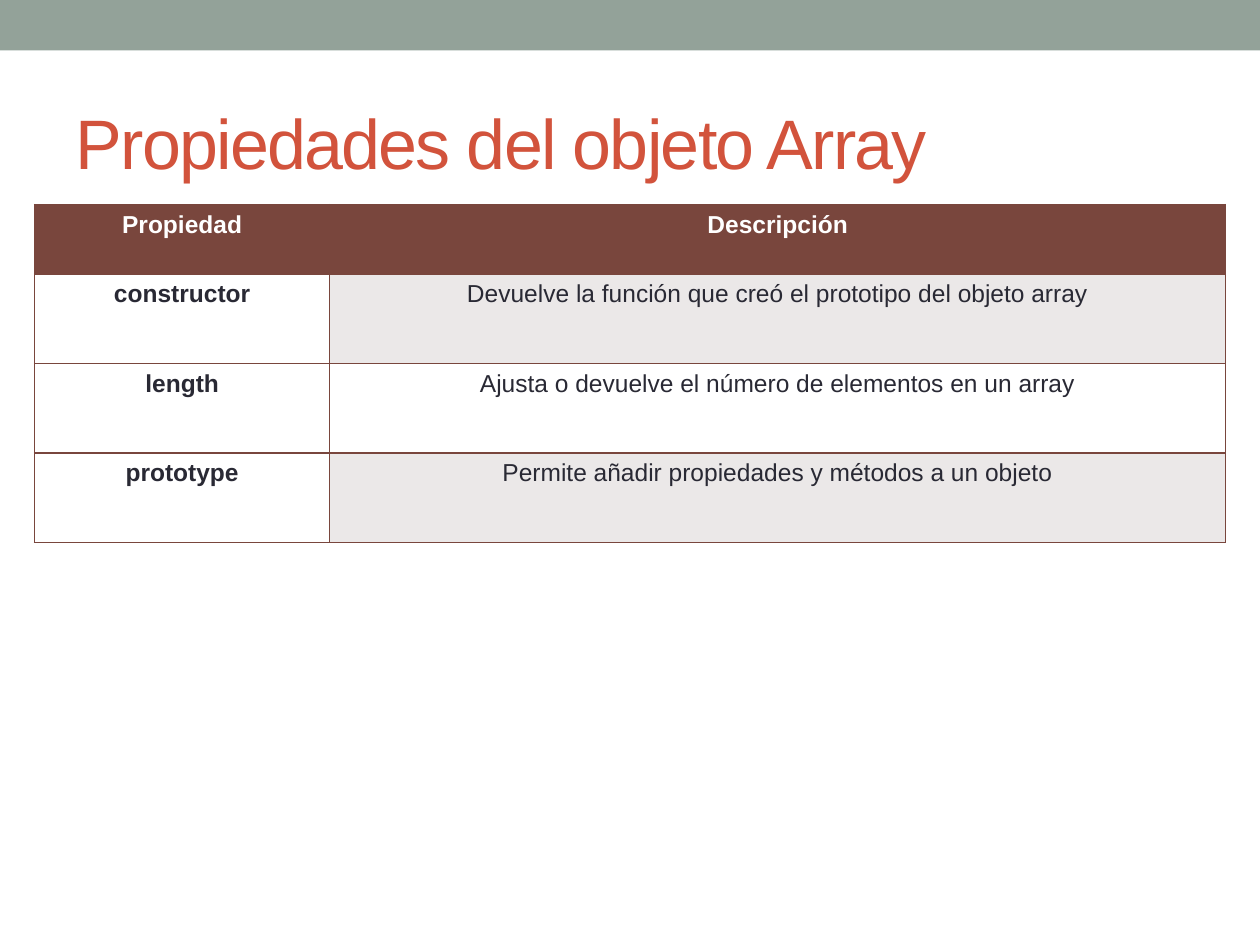
from dataclasses import dataclass

from lxml.etree import SubElement
from pptx import Presentation
from pptx.dml.color import RGBColor
from pptx.enum.shapes import MSO_SHAPE
from pptx.enum.text import MSO_ANCHOR, MSO_AUTO_SIZE, PP_ALIGN
from pptx.oxml.ns import qn
from pptx.util import Pt


@dataclass(frozen=True)
class Theme:
    font: str = "Arial"
    band: str = "93A299"
    title: str = "D2533C"
    accent: str = "79463D"
    text: str = "292934"
    white: str = "FFFFFF"
    shade: str = "EBE8E8"
    title_size: float = 40
    table_size: float = 14
    border_width: float = 0.96


@dataclass(frozen=True)
class Property:
    name: str
    description: str


THEME = Theme()
HEADER = Property("Propiedad", "Descripción")
PROPERTIES = [
    Property("constructor", "Devuelve la función que creó el prototipo del objeto array"),
    Property("length", "Ajusta o devuelve el número de elementos en un array"),
    Property("prototype", "Permite añadir propiedades y métodos a un objeto"),
]
COLUMN_WIDTHS = (168.6, 512)
HEADER_HEIGHT = 39.6
ROW_HEIGHT = 51.2


def add_run(paragraph, text: str, size: float, color: str, bold: bool = False):
    run = paragraph.add_run()
    run.text = text
    run.font.name = THEME.font
    run.font.size = Pt(size)
    run.font.bold = bold
    run.font.color.rgb = RGBColor.from_string(color)
    return run


def add_band(slide) -> None:
    band = slide.shapes.add_shape(MSO_SHAPE.RECTANGLE, 0, 0, Pt(720), Pt(28.8))
    band.shadow.inherit = False
    band.fill.solid()
    band.fill.fore_color.rgb = RGBColor.from_string(THEME.band)
    band.line.fill.background()


def add_title(slide, text: str) -> None:
    title = slide.shapes.title
    title.left, title.top, title.width, title.height = Pt(36), Pt(41.8), Pt(648), Pt(77.8)
    frame = title.text_frame
    frame.auto_size = MSO_AUTO_SIZE.NONE
    frame.vertical_anchor = MSO_ANCHOR.MIDDLE
    paragraph = frame.paragraphs[0]
    paragraph.alignment = PP_ALIGN.LEFT
    run = add_run(paragraph, text, THEME.title_size, THEME.title)
    run.font._element.set("spc", "-100")


def format_cell(cell, text: str, fill: str, color: str, bold: bool) -> None:
    properties = cell._tc.get_or_add_tcPr()
    for side in ("a:lnL", "a:lnR", "a:lnT", "a:lnB"):
        border = SubElement(properties, qn(side), w=str(Pt(THEME.border_width)))
        SubElement(SubElement(border, qn("a:solidFill")), qn("a:srgbClr"), val=THEME.accent)
    cell.fill.solid()
    cell.fill.fore_color.rgb = RGBColor.from_string(fill)
    paragraph = cell.text_frame.paragraphs[0]
    paragraph.alignment = PP_ALIGN.CENTER
    add_run(paragraph, text, THEME.table_size, color, bold)


def add_property_table(slide, header: Property, properties: list[Property]) -> None:
    heights = [HEADER_HEIGHT] + [ROW_HEIGHT] * len(properties)
    table = slide.shapes.add_table(
        len(heights), len(COLUMN_WIDTHS),
        Pt(19.8), Pt(116.9), Pt(sum(COLUMN_WIDTHS)), Pt(sum(heights)),
    ).table
    table.horz_banding = False
    for column, width in zip(table.columns, COLUMN_WIDTHS):
        column.width = Pt(width)
    for index, (entry, height) in enumerate(zip([header, *properties], heights)):
        table.rows[index].height = Pt(height)
        is_header = index == 0
        color = THEME.white if is_header else THEME.text
        name_fill = THEME.accent if is_header else THEME.white
        description_fill = THEME.shade if index % 2 else name_fill
        format_cell(table.cell(index, 0), entry.name, name_fill, color, True)
        format_cell(table.cell(index, 1), entry.description, description_fill, color, is_header)


def main() -> None:
    presentation = Presentation()
    presentation.slide_width, presentation.slide_height = Pt(720), Pt(540)
    slide = presentation.slides.add_slide(presentation.slide_layouts[5])
    add_band(slide)
    add_title(slide, "Propiedades del objeto Array")
    add_property_table(slide, HEADER, PROPERTIES)
    presentation.save("out.pptx")


main()
